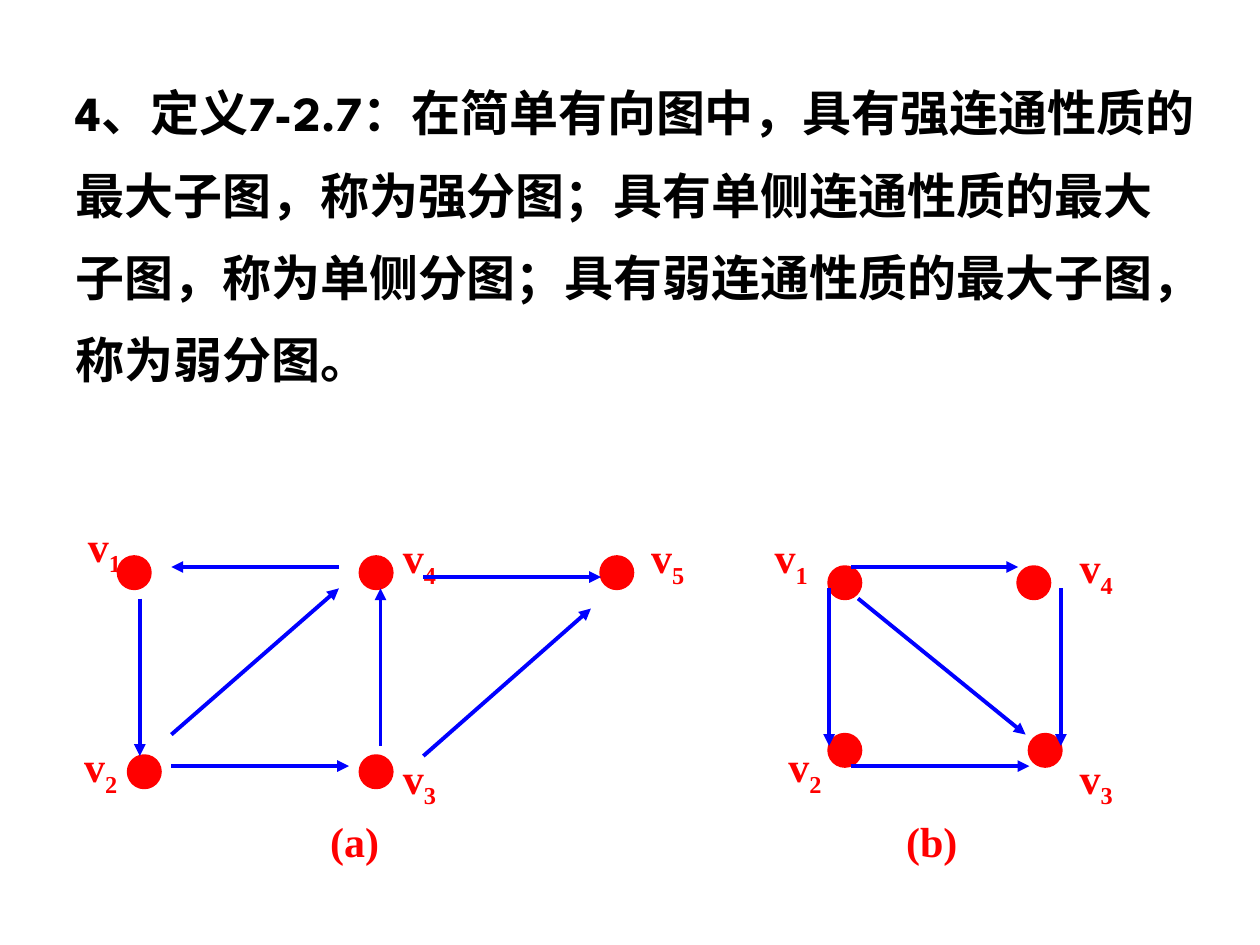
from pptx import Presentation
from pptx.dml.color import RGBColor
from pptx.enum.shapes import MSO_CONNECTOR, MSO_SHAPE
from pptx.enum.text import MSO_ANCHOR, MSO_AUTO_SIZE, PP_ALIGN
from pptx.oxml.ns import qn
from pptx.util import Inches, Pt
from lxml.etree import SubElement

BLACK = RGBColor(0, 0, 0)
RED = RGBColor(255, 0, 0)
BLUE = RGBColor(0, 0, 255)
BODY_FONT = "League Spartan"
LABEL_FONT = "Times New Roman"
NODE_SIZE = 0.25
LABEL_SIZE = 0.56

DEFINITION = (
    "4、定义7-2.7：在简单有向图中，具有强连通性质的最大子图，称为强分图；"
    "具有单侧连通性质的最大子图，称为单侧分图；具有弱连通性质的最大子图，称为弱分图。"
)

GRAPHS = [
    {
        "caption": ("(b)", 6.31, 6.42, 2.17),
        "nodes": [
            ("1", (6.58, 4.5), (6, 4.17)),
            ("2", (6.58, 5.83), (6.11, 5.83)),
            ("3", (8.17, 5.83), (8.42, 5.92)),
            ("4", (8.08, 4.5), (8.42, 4.25)),
        ],
        "edges": [
            ((6.58, 4.67), (6.58, 5.92)),
            ((8.42, 4.67), (8.42, 5.92)),
            ((6.75, 6.08), (8.17, 6.08)),
            ((6.75, 4.5), (8.08, 4.5)),
            ((6.81, 4.75), (8.14, 5.83)),
        ],
    },
    {
        "caption": ("(a)", 1.94, 6.42, 1.75),
        "nodes": [
            ("1", (0.94, 4.42), (0.55, 4.08)),
            ("2", (1.02, 6), (0.52, 5.83)),
            ("3", (2.86, 6), (3.05, 5.92)),
            ("4", (2.86, 4.42), (3.05, 4.17)),
            ("5", (4.77, 4.42), (5.02, 4.17)),
        ],
        "edges": [
            ((1.11, 4.75), (1.11, 6)),
            ((3.02, 5.92), (3.02, 4.67)),
            ((1.36, 6.08), (2.77, 6.08)),
            ((2.69, 4.5), (1.36, 4.5)),
            ((3.36, 4.58), (4.77, 4.58)),
            ((1.36, 5.83), (2.69, 4.67)),
            ((3.36, 6), (4.69, 4.83)),
        ],
    },
]


def add_run(paragraph, text, font_name, size, color):
    run = paragraph.add_run()
    run.text = text
    run.font.name = font_name
    run.font.size = Pt(size)
    run.font.bold = True
    run.font.color.rgb = color
    return run


def add_definition(slide):
    slide.shapes.title.element.getparent().remove(slide.shapes.title.element)
    body = slide.placeholders[1]
    body.left, body.top = Inches(0.5), Inches(0.42)
    body.width, body.height = Inches(9.08), Inches(2.75)
    frame = body.text_frame
    frame.auto_size = MSO_AUTO_SIZE.NONE
    frame.vertical_anchor = MSO_ANCHOR.TOP
    paragraph = frame.paragraphs[0]
    properties = paragraph._p.get_or_add_pPr()
    properties.set("marL", "0")
    properties.set("indent", "0")
    SubElement(properties, qn("a:buNone"))
    paragraph.line_spacing = 1.4
    paragraph.space_before = Pt(0)
    add_run(paragraph, DEFINITION, BODY_FONT, 28, BLACK)


def add_label(group, text, left, top, width, height, subscript=""):
    box = group.shapes.add_textbox(Inches(left), Inches(top), Inches(width), Inches(height))
    box.text_frame.word_wrap = True
    paragraph = box.text_frame.paragraphs[0]
    paragraph.alignment = PP_ALIGN.CENTER
    add_run(paragraph, text, LABEL_FONT, 24, RED)
    if subscript:
        run = add_run(paragraph, subscript, LABEL_FONT, 24, RED)
        run._r.get_or_add_rPr().set("baseline", "-25000")


def add_node(group, left, top):
    node = group.shapes.add_shape(
        MSO_SHAPE.OVAL, Inches(left), Inches(top), Inches(NODE_SIZE), Inches(NODE_SIZE)
    )
    node.shadow.inherit = False
    node.fill.solid()
    node.fill.fore_color.rgb = RED
    node.line.color.rgb = RED
    node.line.width = Pt(2)


def add_edge(group, start, end):
    points = [Inches(value) for value in start + end]
    edge = group.shapes.add_connector(MSO_CONNECTOR.STRAIGHT, *points)
    edge.line.color.rgb = BLUE
    edge.line.width = Pt(2.25)
    SubElement(edge.line._get_or_add_ln(), qn("a:tailEnd"), type="triangle")
    SubElement(edge.element.spPr, qn("a:effectLst"))


def add_graph(slide, graph):
    group = slide.shapes.add_group_shape()
    for number, node_place, label_place in graph["nodes"]:
        add_node(group, *node_place)
        add_label(group, "v", *label_place, LABEL_SIZE, LABEL_SIZE, number)
    for start, end in graph["edges"]:
        add_edge(group, start, end)
    add_label(group, *graph["caption"], 0.5)


def main():
    presentation = Presentation()
    presentation.slide_width = Inches(10)
    presentation.slide_height = Inches(7.5)
    slide = presentation.slides.add_slide(presentation.slide_layouts[1])
    add_definition(slide)
    for graph in GRAPHS:
        add_graph(slide, graph)
    presentation.save("out.pptx")


if __name__ == "__main__":
    main()
